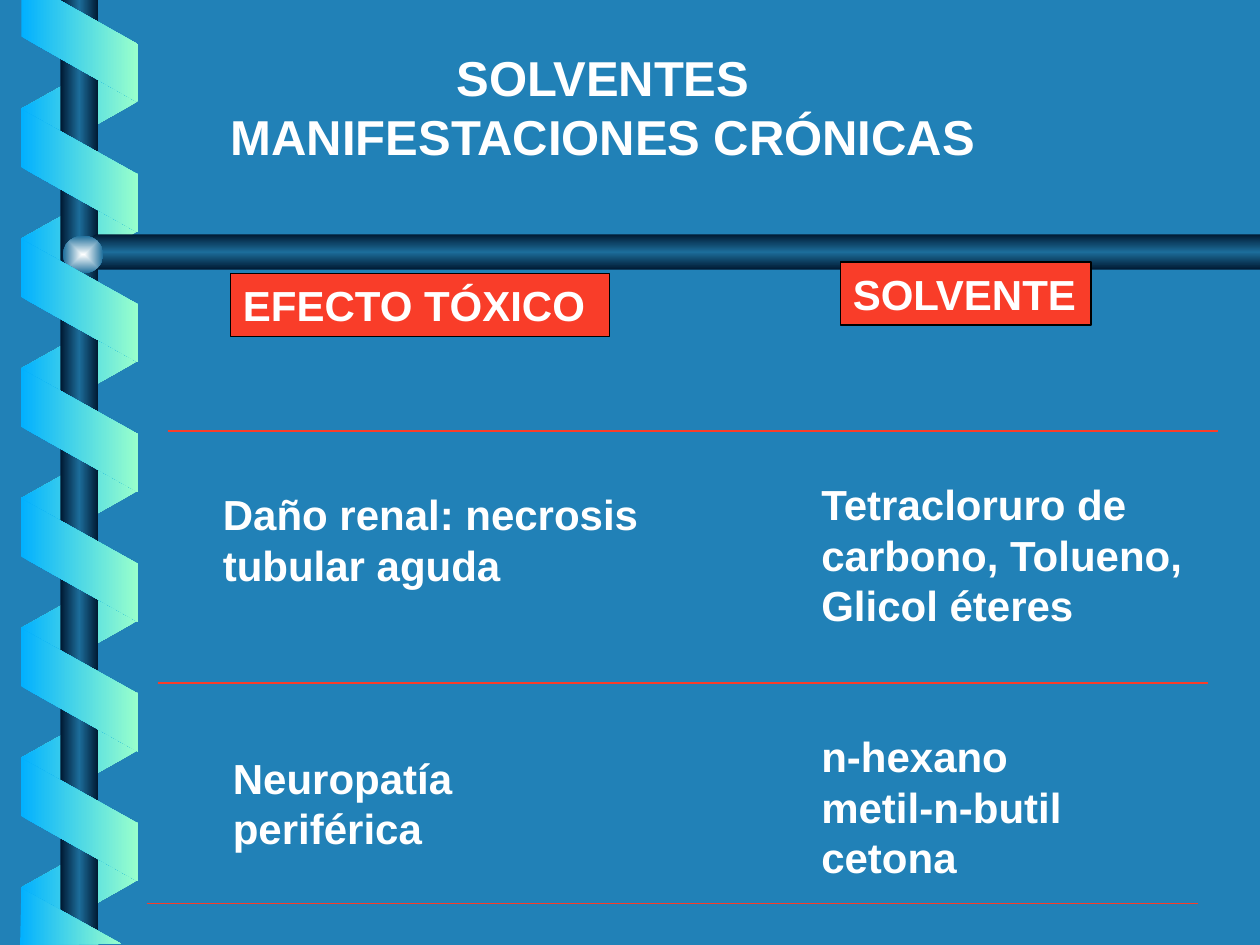
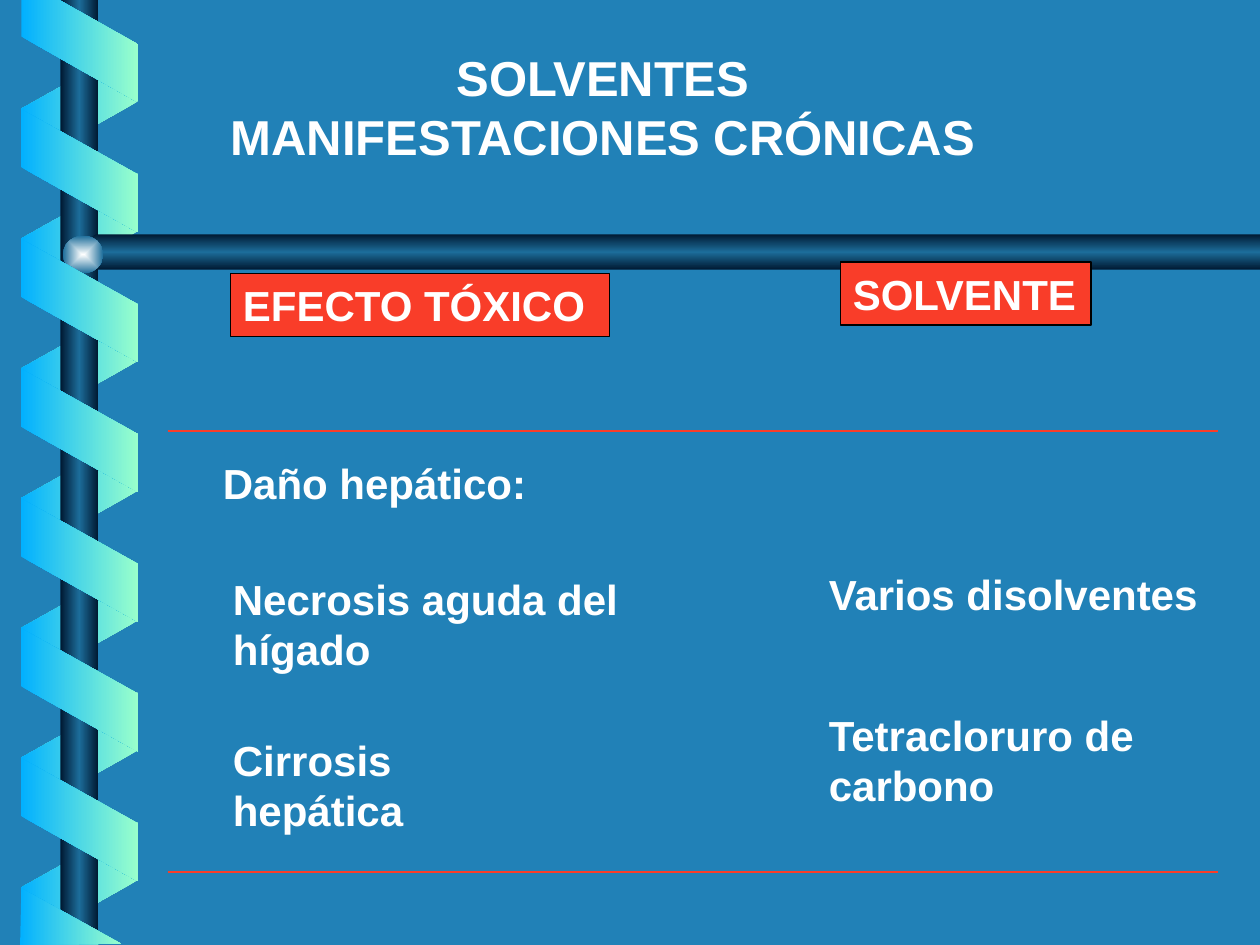
from dataclasses import dataclass

import lxml.etree
import pptx
import pptx.dml.color
import pptx.enum.dml
import pptx.enum.shapes
import pptx.enum.text
import pptx.oxml
import pptx.oxml.ns
import pptx.util

Inches = pptx.util.Inches
Preset = pptx.enum.shapes.MSO_SHAPE
Align = pptx.enum.text.PP_ALIGN
qn = pptx.oxml.ns.qn


@dataclass(frozen=True)
class Theme:
    background: str = "2181B7"
    text: str = "FFFFFF"
    accent: str = "F93D29"
    outline: str = "000000"
    ribbon: tuple = ("01B0FF", "99FFCC")
    bar: tuple = ("001932", "1C6D9A", "001932")
    knob: tuple = ("FEFFFF", "1C6D9A")
    font: str = "Arial"
    title_size: int = 28
    body_size: int = 24
    label_line: float = 0.75
    rule_line: float = 1


def rgb(value):
    return pptx.dml.color.RGBColor.from_string(value)


class Deck:
    def __init__(self, theme):
        self.theme = theme
        self.presentation = pptx.Presentation()
        self.presentation.slide_width = Inches(10)
        self.presentation.slide_height = Inches(7.5)
        self.slide = None

    def new_slide(self):
        self.slide = self.presentation.slides.add_slide(self.presentation.slide_layouts[6])
        fill = self.slide.background.fill
        fill.solid()
        fill.fore_color.rgb = rgb(self.theme.background)
        self.decoration()
        self.text(1.72, 0.33, 6.13, 1.04, ["SOLVENTES", "MANIFESTACIONES CRÓNICAS"],
                  self.theme.title_size, Align.CENTER)
        self.label(6.67, 2.08, 1.99, "SOLVENTE")
        self.label(1.83, 2.17, 3.01, "EFECTO TÓXICO")

    def gradient(self, shape, colors, angle=0, centered=False):
        shape.shadow.inherit = False
        shape.line.fill.background()
        shape.fill.gradient()
        gradient = shape.element.spPr.find(qn("a:gradFill"))
        gradient.set("rotWithShape", "0")
        for child in list(gradient):
            gradient.remove(child)
        stops = lxml.etree.SubElement(gradient, qn("a:gsLst"))
        for index, color in enumerate(colors):
            position = 100000 * index // (len(colors) - 1)
            stop = lxml.etree.SubElement(stops, qn("a:gs"), pos=str(position))
            lxml.etree.SubElement(stop, qn("a:srgbClr"), val=color)
        if centered:
            spread = lxml.etree.SubElement(gradient, qn("a:path"))
            spread.set("path", "rect")
            sides = dict.fromkeys("ltrb", "50000")
            lxml.etree.SubElement(spread, qn("a:fillToRect"), **sides)
        else:
            lxml.etree.SubElement(gradient, qn("a:lin"), ang=str(angle * 60000), scaled="1")

    def shape(self, preset, left, top, width, height):
        return self.slide.shapes.add_shape(
            preset, Inches(left), Inches(top), Inches(width), Inches(height))

    def outline(self, points, colors, angle=0):
        corners = [(Inches(x), Inches(y)) for x, y in points]
        builder = self.slide.shapes.build_freeform(*corners[0])
        builder.add_line_segments(corners[1:], close=True)
        self.gradient(builder.convert_to_shape(), colors, angle)

    def ribbon(self, top, behind):
        shape = self.shape(Preset.PARALLELOGRAM, 0.14, top, 0.98, 0.93)
        shape.adjustments[0] = 0.56
        shape.rotation = 90 if behind else 270
        colors = self.theme.ribbon
        if behind:
            shape.element.spPr.find(qn("a:xfrm")).set("flipH", "1")
            colors = colors[::-1]
        self.gradient(shape, colors)

    def decoration(self):
        turn = 1.03
        for index in range(7):
            self.ribbon(0.37 + turn * index, behind=True)
        self.gradient(self.shape(Preset.RECTANGLE, 0.48, 0, 0.3, 7.5), self.theme.bar)
        self.outline([(10, 1.86), (0.76, 1.86), (0.6, 2), (0.76, 2.14), (10, 2.14)],
                     self.theme.bar, 90)
        self.gradient(self.shape(Preset.OVAL, 0.5, 1.87, 0.32, 0.3), self.theme.knob, centered=True)
        for index in range(6):
            self.ribbon(0.89 + turn * index, behind=False)
        self.outline([(0.17, 0), (0.17, 0.29), (1.09, 0.81), (1.09, 0.35), (0.47, 0)],
                     self.theme.ribbon)
        self.outline([(0.96, 7.49), (0.17, 7.05), (0.16, 7.5)], self.theme.ribbon)

    def fill_text(self, shape, lines, size, align=Align.LEFT):
        frame = shape.text_frame
        frame.text = "\n".join(lines)
        frame.vertical_anchor = pptx.enum.text.MSO_ANCHOR.TOP
        for paragraph in frame.paragraphs:
            paragraph.alignment = align
            for run in paragraph.runs:
                run.font.name = self.theme.font
                run.font.size = pptx.util.Pt(size)
                run.font.bold = True
                run.font.color.rgb = rgb(self.theme.text)
        return frame

    def text(self, left, top, width, height, lines, size, align=Align.LEFT):
        box = self.slide.shapes.add_textbox(
            Inches(left), Inches(top), Inches(width), Inches(height))
        frame = self.fill_text(box, lines, size, align)
        frame.word_wrap = False
        frame.auto_size = pptx.enum.text.MSO_AUTO_SIZE.SHAPE_TO_FIT_TEXT

    def entry(self, left, top, width, *lines):
        self.text(left, top, width, 0.1 + 0.4 * len(lines), lines, self.theme.body_size)

    def label(self, left, top, width, caption):
        shape = self.shape(Preset.RECTANGLE, left, top, width, 0.5)
        shape.shadow.inherit = False
        shape.fill.solid()
        shape.fill.fore_color.rgb = rgb(self.theme.accent)
        shape.line.color.rgb = rgb(self.theme.outline)
        shape.line.width = pptx.util.Pt(self.theme.label_line)
        self.fill_text(shape, [caption], self.theme.body_size).word_wrap = True

    def rule(self, left, top):
        connector = self.slide.shapes.add_connector(
            pptx.enum.shapes.MSO_CONNECTOR.STRAIGHT,
            Inches(left), Inches(top), Inches(left + 8.34), Inches(top))
        connector.line.color.rgb = rgb(self.theme.accent)
        connector.line.width = pptx.util.Pt(self.theme.rule_line)
        lxml.etree.SubElement(connector.element.spPr, qn("a:effectLst"))


def main():
    deck = Deck(Theme())

    deck.new_slide()
    deck.entry(6.42, 3.75, 3.09, "Tetracloruro de", "carbono, Tolueno,", "Glicol éteres")
    deck.entry(1.67, 3.83, 3.59, "Daño renal: necrosis", "tubular aguda")
    deck.entry(6.42, 5.75, 3.27, "n-hexano", "metil-n-butil cetona")
    deck.entry(1.75, 5.92, 3.53, "Neuropatía periférica")
    for left, top in [(1.33, 3.42), (1.25, 5.42), (1.17, 7.17)]:
        deck.rule(left, top)

    deck.new_slide()
    deck.entry(6.48, 5.58, 2.74, "Tetracloruro de", "carbono")
    deck.entry(1.67, 3.58, 2.61, "Daño hepático:")
    for top in (3.42, 6.92):
        deck.rule(1.33, top)
    deck.entry(1.75, 5.78, 2.9, "Cirrosis hepática")
    deck.entry(1.75, 4.5, 3.35, "Necrosis aguda del", "hígado")
    deck.entry(6.48, 4.46, 3.14, "Varios disolventes")

    deck.presentation.save("out.pptx")


if __name__ == "__main__":
    main()
